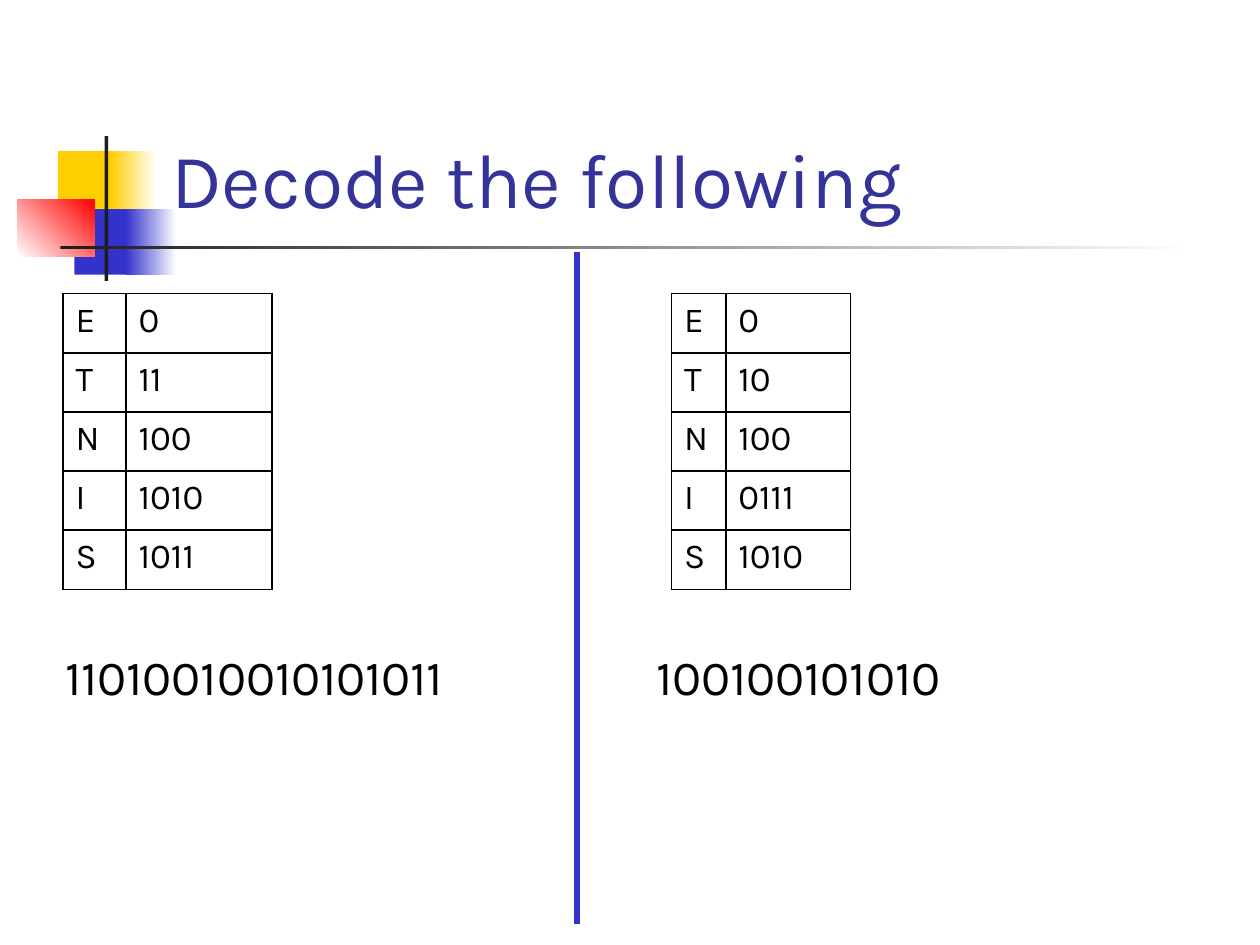
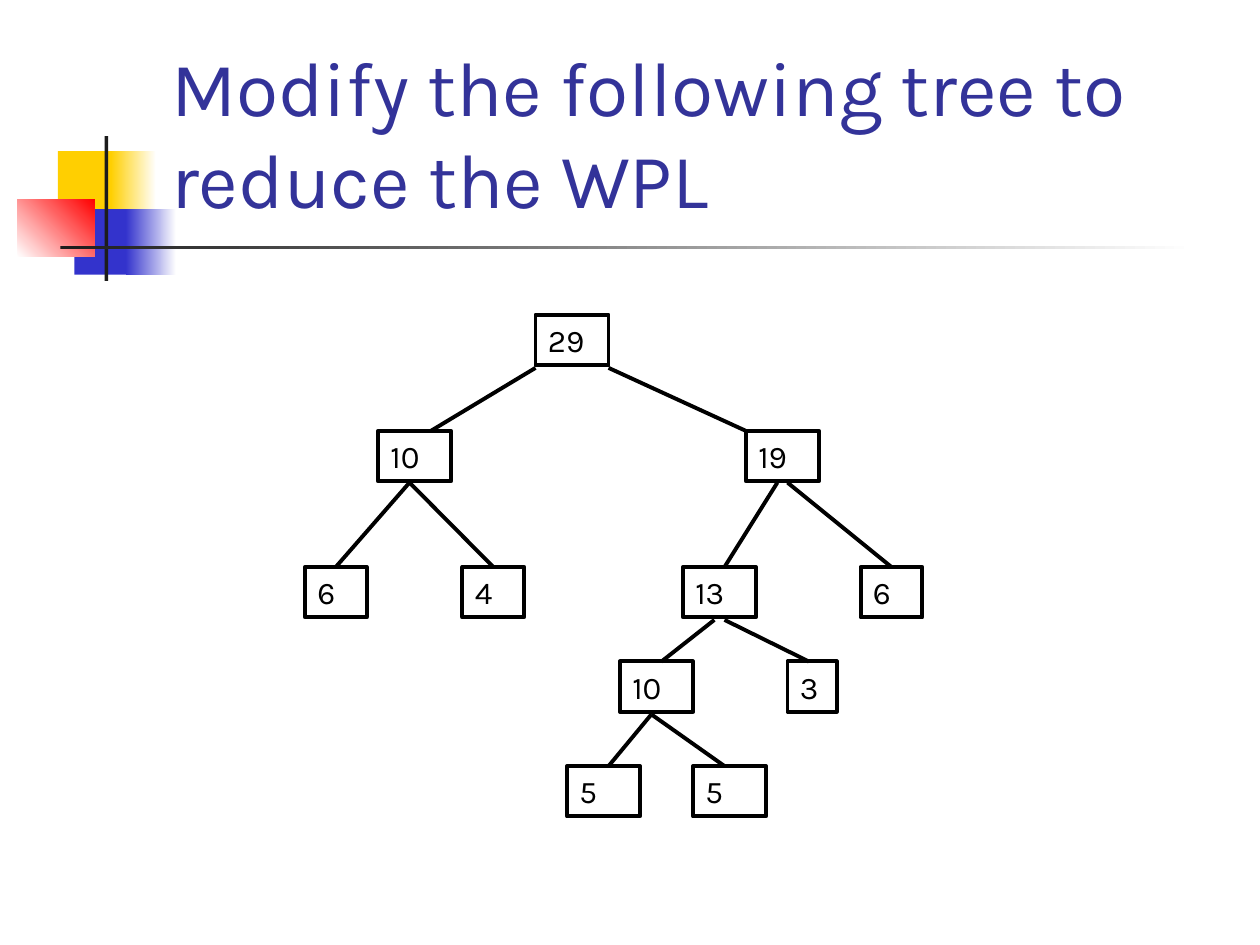
from lxml import etree
from pptx import Presentation
from pptx.dml.color import RGBColor
from pptx.enum.shapes import MSO_CONNECTOR, MSO_SHAPE
from pptx.enum.text import MSO_ANCHOR, PP_ALIGN
from pptx.oxml import parse_xml
from pptx.oxml.ns import nsdecls, qn
from pptx.util import Inches, Pt

# Shared style
FONT = "Karla"
BLACK, WHITE, INK = "000000", "FFFFFF", "1C1C1C"
GOLD, BLUE, RED, NAVY = "FFCF01", "3333CC", "FF0000", "333399"
ROW_H = 0.47
NODE_H = 0.4

# Title ornament: left, top, width, height, colours, angle
DECOR = [
    (0.46, 1.2, 0.48, 0.52, [GOLD], 0),
    (0.88, 1.2, 0.36, 0.52, [GOLD, WHITE], 0),
    (0.59, 1.66, 0.46, 0.52, [BLUE], 0),
    (1, 1.66, 0.4, 0.52, [BLUE, WHITE], 0),
    (0.14, 1.58, 0.61, 0.46, [WHITE, RED], 45),
    (0.83, 1.08, 0.03, 1.15, [INK], 0),
    (0.48, 1.95, 9, 0.03, [INK, WHITE], 0),
]

# Code tables
LEFT_CODE = zip("ETNIS", ["0", "11", "100", "1010", "1011"])
RIGHT_CODE = zip("ETNIS", ["0", "10", "100", "0111", "1010"])

# Tree nodes: key -> text, left, top, width
NODES = {
    "root": ("29", 4.25, 2.5, 0.58),
    "l": ("10", 3, 3.42, 0.58),
    "r": ("19", 5.92, 3.42, 0.58),
    "ll": ("6", 2.42, 4.5, 0.49),
    "lr": ("4", 3.67, 4.5, 0.49),
    "rl": ("13", 5.42, 4.5, 0.58),
    "rr": ("6", 6.83, 4.5, 0.49),
    "rll": ("10", 4.92, 5.25, 0.58),
    "rlr": ("3", 6.25, 5.25, 0.39),
    "rlll": ("5", 4.5, 6.08, 0.58),
    "rllr": ("5", 5.5, 6.08, 0.58),
}

# Tree edges: start x, start y, end x, child
EDGES = [
    (4.25, 2.92, 3.42, "l"),
    (4.83, 2.92, 5.92, "r"),
    (3.25, 3.83, 2.67, "ll"),
    (3.25, 3.83, 3.92, "lr"),
    (6.17, 3.83, 5.75, "rl"),
    (6.25, 3.83, 7.08, "rr"),
    (5.67, 4.92, 5.25, "rll"),
    (5.75, 4.92, 6.42, "rlr"),
    (5.17, 5.67, 4.83, "rlll"),
    (5.17, 5.67, 5.75, "rllr"),
]
JOINED = {"ll", "lr", "rr"}


def color(code):
    return RGBColor.from_string(code)


def style(frame, size, code=BLACK):
    for para in frame.paragraphs:
        para.alignment = PP_ALIGN.LEFT
        for run in para.runs:
            run.font.name = FONT
            run.font.size = Pt(size)
            run.font.color.rgb = color(code)


def add_rect(slide, left, top, width, height):
    rect = slide.shapes.add_shape(
        MSO_SHAPE.RECTANGLE, Inches(left), Inches(top), Inches(width), Inches(height))
    rect.shadow.inherit = False
    return rect


def add_block(slide, left, top, width, height, codes, angle):
    block = add_rect(slide, left, top, width, height)
    block.line.fill.background()
    if len(codes) == 1:
        block.fill.solid()
        block.fill.fore_color.rgb = color(codes[0])
        return
    block.fill.gradient()
    block.fill.gradient_angle = angle
    for stop, code, place in zip(block.fill.gradient_stops, codes, (0, 1)):
        stop.color.rgb = color(code)
        stop.position = place


def add_text(slide, text, left, top, width, height, size,
             code=BLACK, anchor=MSO_ANCHOR.TOP, wrap=True):
    box = slide.shapes.add_textbox(
        Inches(left), Inches(top), Inches(width), Inches(height))
    frame = box.text_frame
    frame.word_wrap = wrap
    frame.vertical_anchor = anchor
    frame.text = text
    style(frame, size, code)


def add_line(slide, start, end, code=BLACK, width=2.25):
    line = slide.shapes.add_connector(
        MSO_CONNECTOR.STRAIGHT, *[Inches(n) for n in (*start, *end)])
    line.line.color.rgb = color(code)
    line.line.width = Pt(width)
    etree.SubElement(line._element.spPr, qn("a:effectLst"))
    return line


def add_borders(cell):
    props = cell._tc.get_or_add_tcPr()
    for side in "LRTB":
        props.append(parse_xml(
            f'<a:ln{side} {nsdecls("a")} w="{Pt(1.08)}"><a:solidFill>'
            f'<a:srgbClr val="{BLACK}"/></a:solidFill></a:ln{side}>'))


def add_code(slide, left, widths, pairs):
    pairs = list(pairs)
    table = slide.shapes.add_table(
        len(pairs), 2, Inches(left), Inches(2.33),
        Inches(sum(widths)), Inches(ROW_H * len(pairs))).table
    table.first_row = table.horz_banding = False
    for col, width in zip(table.columns, widths):
        col.width = Inches(width)
    for row, pair in zip(table.rows, pairs):
        row.height = Inches(ROW_H)
        for cell, text in zip(row.cells, pair):
            cell.text_frame.text = text
            style(cell.text_frame, 20)
            add_borders(cell)
            cell.fill.background()


def add_node(slide, text, left, top, width):
    node = add_rect(slide, left, top, width, NODE_H)
    node.fill.background()
    node.line.color.rgb = color(BLACK)
    node.line.width = Pt(2.25)
    frame = node.text_frame
    frame.word_wrap = True
    frame.vertical_anchor = MSO_ANCHOR.TOP
    frame.text = text
    style(frame, 18)
    return node


def add_slide(deck, title):
    slide = deck.slides.add_slide(deck.slide_layouts[6])
    for block in DECOR:
        add_block(slide, *block)
    add_text(slide, title, 1.26, 0.23, 8.52, 1.6, 44, NAVY, MSO_ANCHOR.BOTTOM)
    return slide


def main():
    deck = Presentation()
    deck.slide_width, deck.slide_height = Inches(10), Inches(7.5)

    # Two codes side by side
    slide = add_slide(deck, "Decode the following")
    add_code(slide, 0.5, (0.5, 1.16), LEFT_CODE)
    add_text(slide, "11010010010101011", 0.42, 5.08, 3.92, 1.04, 28)
    add_code(slide, 5.33, (0.43, 0.99), RIGHT_CODE)
    add_text(slide, "100100101010", 5.11, 5.08, 2.86, 0.57, 28, wrap=False)
    add_line(slide, (4.58, 2), (4.58, 7.33), BLUE, 3)

    # Weighted tree
    slide = add_slide(deck, "Modify the following tree to reduce the WPL")
    nodes = {key: add_node(slide, *node) for key, node in NODES.items()}
    for x, y, end, child in EDGES:
        line = add_line(slide, (x, y), (end, NODES[child][2]))
        if child in JOINED:
            line.end_connect(nodes[child], 0)

    deck.save("out.pptx")


if __name__ == "__main__":
    main()
